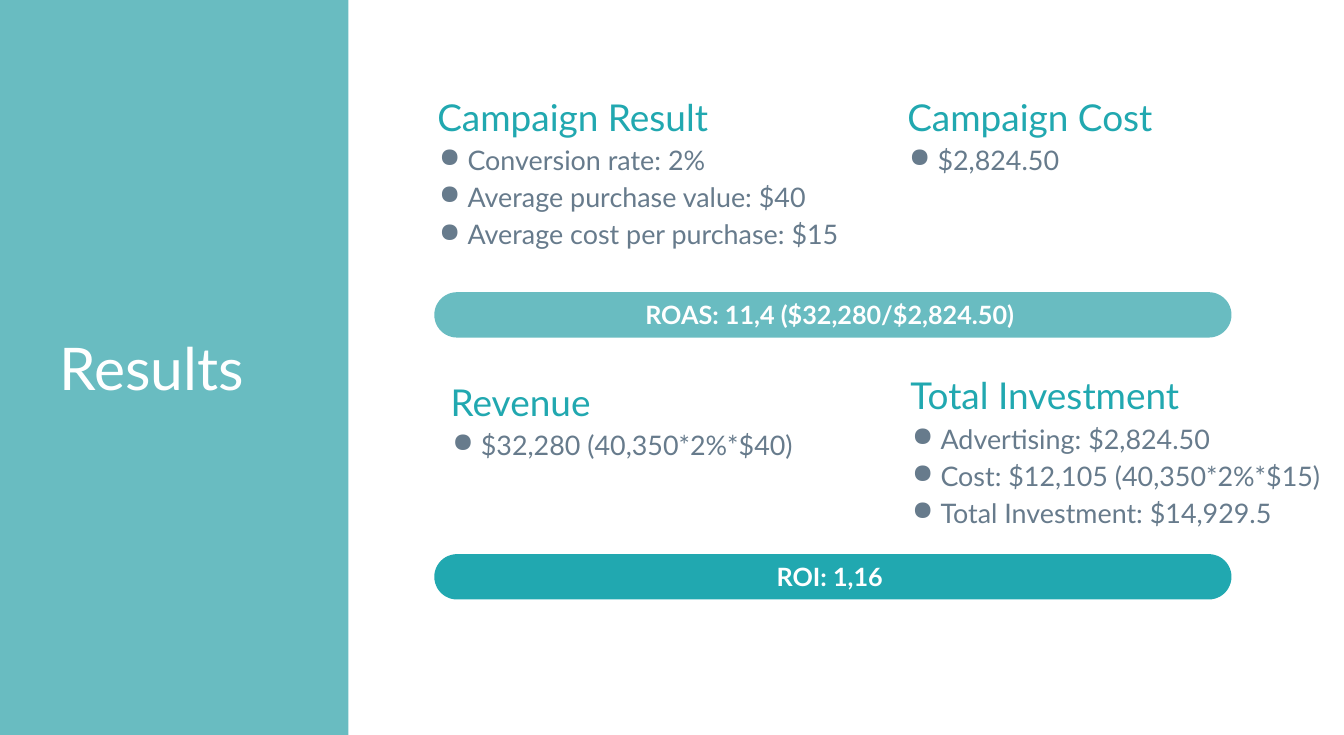
import dataclasses

import lxml.etree
import pptx
import pptx.dml.color
import pptx.enum.shapes
import pptx.enum.text
import pptx.oxml.ns
import pptx.presentation
import pptx.shapes.autoshape
import pptx.slide
import pptx.text.text
import pptx.util

EMU_PER_PX = 9144
SLIDE_WIDTH, SLIDE_HEIGHT = 2222, 1215
INSET = 22
BULLET_MARGIN, BULLET_INDENT = 50, -47
PILL_LEFT, PILL_WIDTH, PILL_HEIGHT = 718, 1318, 75


@dataclasses.dataclass(frozen=True)
class Theme:
    font: str = "Lato"
    white: str = "FFFFFF"
    light_teal: str = "69BCC1"
    teal: str = "21A8B0"
    slate: str = "677B8C"
    title_size: int = 70
    heading_size: int = 44
    item_size: int = 32
    pill_size: int = 30


THEME = Theme()


@dataclasses.dataclass(frozen=True)
class Box:
    left: int
    top: int
    width: int
    height: int


@dataclasses.dataclass(frozen=True)
class Section:
    box: Box
    heading: str
    items: tuple[str, ...]


@dataclasses.dataclass(frozen=True)
class Pill:
    top: int
    label: str
    color: str


SECTIONS = (
    Section(
        Box(701, 97, 755, 370),
        "Campaign Result",
        ("Conversion rate: 2%", "Average purchase value: $40", "Average cost per purchase: $15"),
    ),
    Section(Box(1478, 97, 670, 279), "Campaign Cost", ("$2,824.50",)),
    Section(Box(723, 568, 755, 370), "Revenue", ("$32,280 (40,350*2%*$40)",)),
    Section(
        Box(1483, 558, 755, 370),
        "Total Investment",
        ("Advertising: $2,824.50", "Cost: $12,105 (40,350*2%*$15)", "Total Investment: $14,929.5"),
    ),
)

PILLS = (
    Pill(483, "ROAS: 11,4 ($32,280/$2,824.50)", THEME.light_teal),
    Pill(916, "ROI: 1,16", THEME.teal),
)


def px(length: int) -> pptx.util.Emu:
    return pptx.util.Emu(length * EMU_PER_PX)


def place(box: Box) -> tuple[pptx.util.Emu, ...]:
    return px(box.left), px(box.top), px(box.width), px(box.height)


def rgb(color: str) -> pptx.dml.color.RGBColor:
    return pptx.dml.color.RGBColor.from_string(color)


def add_run(
    paragraph: pptx.text.text._Paragraph, text: str, size: int, color: str, bold: bool = False
) -> None:
    run = paragraph.add_run()
    run.text = text
    run.font.name = THEME.font
    run.font.size = pptx.util.Pt(size)
    run.font.bold = bold
    run.font.color.rgb = rgb(color)


def add_filled_shape(
    slide: pptx.slide.Slide, kind: pptx.enum.shapes.MSO_SHAPE, box: Box, color: str
) -> pptx.shapes.autoshape.Shape:
    shape = slide.shapes.add_shape(kind, *place(box))
    shape.shadow.inherit = False
    shape.fill.solid()
    shape.fill.fore_color.rgb = rgb(color)
    shape.line.fill.background()
    return shape


def add_text_frame(slide: pptx.slide.Slide, box: Box) -> pptx.text.text.TextFrame:
    frame = slide.shapes.add_textbox(*place(box)).text_frame
    frame.word_wrap = True
    frame.margin_left = frame.margin_right = px(INSET)
    frame.margin_top = frame.margin_bottom = px(INSET)
    return frame


def set_bullet(paragraph: pptx.text.text._Paragraph, color: str) -> None:
    qn = pptx.oxml.ns.qn
    properties = paragraph._p.get_or_add_pPr()
    properties.set("marL", str(px(BULLET_MARGIN)))
    properties.set("indent", str(px(BULLET_INDENT)))
    bullet_color = lxml.etree.SubElement(properties, qn("a:buClr"))
    lxml.etree.SubElement(bullet_color, qn("a:srgbClr"), val=color)
    lxml.etree.SubElement(properties, qn("a:buChar"), char="●")


def add_title(slide: pptx.slide.Slide) -> None:
    frame = add_text_frame(slide, Box(76, 409, 453, 396))
    frame.vertical_anchor = pptx.enum.text.MSO_ANCHOR.MIDDLE
    add_run(frame.paragraphs[0], "Results", THEME.title_size, THEME.white)


def add_section(slide: pptx.slide.Slide, section: Section) -> None:
    frame = add_text_frame(slide, section.box)
    heading = frame.paragraphs[0]
    heading.line_spacing = 1.5
    add_run(heading, section.heading, THEME.heading_size, THEME.teal)
    for item in section.items:
        paragraph = frame.add_paragraph()
        paragraph.line_spacing = 1.15
        set_bullet(paragraph, THEME.slate)
        add_run(paragraph, item, THEME.item_size, THEME.slate)


def add_pill(slide: pptx.slide.Slide, pill: Pill) -> None:
    box = Box(PILL_LEFT, pill.top, PILL_WIDTH, PILL_HEIGHT)
    shape = add_filled_shape(
        slide, pptx.enum.shapes.MSO_SHAPE.ROUNDED_RECTANGLE, box, pill.color
    )
    shape.adjustments[0] = 0.5
    frame = shape.text_frame
    frame.word_wrap = True
    frame.margin_left, frame.margin_right = px(10), px(20)
    frame.margin_top = frame.margin_bottom = px(0)
    frame.vertical_anchor = pptx.enum.text.MSO_ANCHOR.MIDDLE
    paragraph = frame.paragraphs[0]
    paragraph.alignment = pptx.enum.text.PP_ALIGN.CENTER
    add_run(paragraph, pill.label, THEME.pill_size, THEME.white, bold=True)


def build() -> pptx.presentation.Presentation:
    presentation = pptx.Presentation()
    presentation.slide_width = px(SLIDE_WIDTH)
    presentation.slide_height = px(SLIDE_HEIGHT)
    slide = presentation.slides.add_slide(presentation.slide_layouts[6])
    side_panel = Box(0, 0, 576, SLIDE_HEIGHT)
    add_filled_shape(
        slide, pptx.enum.shapes.MSO_SHAPE.RECTANGLE, side_panel, THEME.light_teal
    )
    add_title(slide)
    for pill in PILLS:
        add_pill(slide, pill)
    for section in SECTIONS:
        add_section(slide, section)
    return presentation


def main() -> None:
    build().save("out.pptx")


if __name__ == "__main__":
    main()
